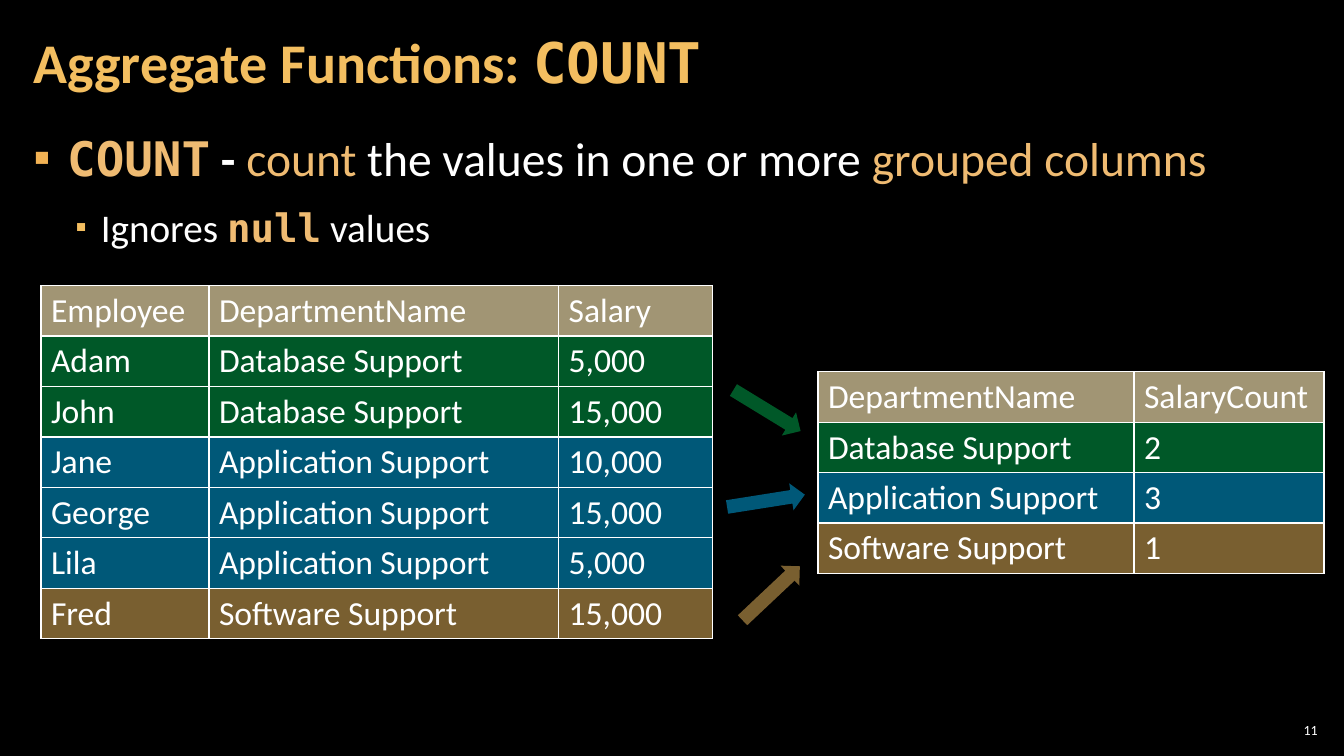
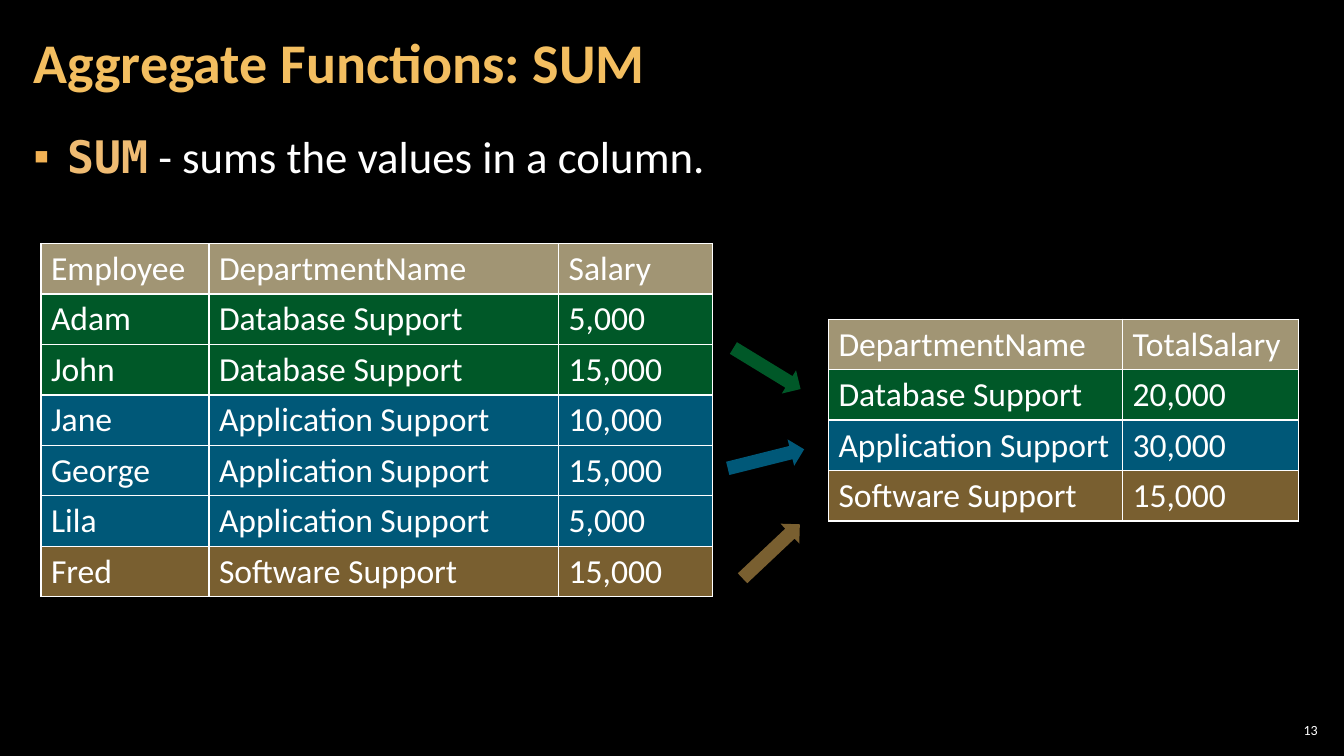
from lxml.etree import SubElement
from pptx import Presentation
from pptx.dml.color import RGBColor
from pptx.enum.shapes import MSO_SHAPE
from pptx.enum.text import MSO_ANCHOR, PP_ALIGN
from pptx.oxml.ns import qn
from pptx.util import Pt

PX = 9525
SANS, MONO = "Calibri", "DejaVu Sans Mono"
COLORS = {
    "background": "000000", "text": "FFFFFF", "title": "F3BE60",
    "accent": "EFBB72", "bullet": "F2B254", "header": "A19574",
    "Database Support": "00B050", "Application Support": "00B0F0",
    "Software Support": "F3BE60",
}
ROW = 48
EMPLOYEE_COLS = (160, 333, 147)
EMPLOYEES = [
    ("Employee", "DepartmentName", "Salary"),
    ("Adam", "Database Support", "5,000"),
    ("John", "Database Support", "15,000"),
    ("Jane", "Application Support", "10,000"),
    ("George", "Application Support", "15,000"),
    ("Lila", "Application Support", "5,000"),
    ("Fred", "Software Support", "15,000"),
]
# Bullet styles by level: indent, hanging, colour, size in percent
LEVELS = [(32, 32, "bullet", 100), (64, 24, "title", 80)]


def px(*values):
    return [v * PX for v in values]


def rgb(name):
    return RGBColor.from_string(COLORS[name])


def paint(fill, name, alpha=100):
    fill.solid()
    fill.fore_color.rgb = rgb(name)
    if alpha < 100:
        # The fill's parent is found through its own colour element
        clr = fill._xPr.find(qn("a:solidFill")).find(qn("a:srgbClr"))
        SubElement(clr, qn("a:alpha"), val=str(alpha * 1000))


def add_run(p, text, *, size=24, color="text", bold=False, font=SANS):
    r = p.add_run()
    r.text = text
    r.font.size, r.font.bold, r.font.name = Pt(size), bold, font
    r.font.color.rgb = rgb(color)


def add_box(s, box, pad=12, anchor=MSO_ANCHOR.TOP):
    tf = s.shapes.add_textbox(*px(*box)).text_frame
    tf.word_wrap = True
    tf.vertical_anchor = anchor
    tf.margin_left = tf.margin_right = pad * PX
    tf.margin_top = tf.margin_bottom = 4 * PX
    return tf


def add_title(s, box, runs):
    p = add_box(s, box, anchor=MSO_ANCHOR.MIDDLE).paragraphs[0]
    p.line_spacing = 0.9
    for text, style in runs:
        add_run(p, text, size=40, color="title", bold=True, **style)


def add_page_number(s, box, number):
    p = add_box(s, box, pad=4, anchor=MSO_ANCHOR.MIDDLE).paragraphs[0]
    p.alignment = PP_ALIGN.RIGHT
    add_run(p, str(number), size=10)


def set_bullet(p, level):
    indent, hanging, color, percent = LEVELS[level]
    p.space_before = p.space_after = Pt(6)
    pPr = p._p.get_or_add_pPr()
    pPr.set("marL", str(indent * PX))
    pPr.set("indent", str(-hanging * PX))
    SubElement(SubElement(pPr, qn("a:buClr")), qn("a:srgbClr"), val=COLORS[color])
    SubElement(pPr, qn("a:buSzPct"), val=str(percent * 1000))
    SubElement(pPr, qn("a:buFont"), typeface=SANS)
    SubElement(pPr, qn("a:buChar"), char="▪")


def add_bullets(s, box, bullets):
    tf = add_box(s, box)
    for level, (size, runs) in enumerate(bullets):
        p = tf.paragraphs[0] if level == 0 else tf.add_paragraph()
        p.level = level
        set_bullet(p, level)
        for text, style in runs:
            add_run(p, text, size=size, **style)


def set_borders(cell):
    tcPr = cell._tc.get_or_add_tcPr()
    for side in ("lnL", "lnR", "lnT", "lnB"):
        ln = SubElement(tcPr, qn(f"a:{side}"), w=str(Pt(1)))
        SubElement(SubElement(ln, qn("a:solidFill")), qn("a:srgbClr"), val=COLORS["text"])


def add_grid(s, left, top, widths, rows):
    """Table whose rows take the colour of the department they name."""
    frame = s.shapes.add_table(len(rows), len(widths),
                               *px(left, top, sum(widths), ROW * len(rows)))
    table = frame.table
    table.first_row = table.horz_banding = False
    for col, width in zip(table.columns, widths):
        col.width = width * PX
    for i, values in enumerate(rows):
        table.rows[i].height = ROW * PX
        department = next((v for v in values if v in COLORS), None)
        for j, value in enumerate(values):
            cell = table.cell(i, j)
            set_borders(cell)
            paint(cell.fill, department or "header", 50 if department else 100)
            add_run(cell.text_frame.paragraphs[0], value)


def add_arrows(s, left, top, middle_angle):
    """One arrow from each department's rows to its result."""
    arrows = [("Database Support", 1, 106, 31.4),
              ("Application Support", 0, 192, middle_angle),
              ("Software Support", 5, 280, 316.7)]
    for department, dx, dy, angle in arrows:
        sp = s.shapes.add_shape(MSO_SHAPE.RIGHT_ARROW, *px(left + dx, top + dy, 75, 26))
        sp.shadow.inherit = False
        sp.rotation = angle
        sp.line.fill.background()
        paint(sp.fill, department, 50)


def add_aggregate_slide(prs, number, title, bullets, top, result, middle_angle):
    s = prs.slides.add_slide(prs.slide_layouts[6])
    paint(s.background.fill, "background")
    add_page_number(s, (1214, 685, 45, 20), number)
    add_title(s, (20, 4, 1005, 116), title)
    add_bullets(s, (20, 119, 1239, 585), bullets)
    add_grid(s, 39, top, EMPLOYEE_COLS, EMPLOYEES)
    add_grid(s, *result)
    add_arrows(s, 692, top, middle_angle)


def result_rows(heading, *values):
    departments = ("Database Support", "Application Support", "Software Support")
    return [("DepartmentName", heading), *zip(departments, values)]


def main():
    prs = Presentation()
    prs.slide_width, prs.slide_height = px(1280, 720)
    accent = {"color": "accent"}
    code = {"color": "accent", "bold": True, "font": MONO}

    # COUNT
    add_aggregate_slide(
        prs, 11, [("Aggregate Functions: ", {}), ("COUNT", {"font": MONO})],
        [(34, [("COUNT", code), (" - ", {"bold": True}), ("count", accent),
               (" the values in one or more ", {}), ("grouped columns", accent)]),
         (28, [("Ignores ", {}), ("null", code), (" values", {})])],
        272, (779, 354, (301, 181), result_rows("SalaryCount", "2", "3", "1")), 351)

    # SUM
    add_aggregate_slide(
        prs, 13, [("Aggregate Functions: SUM", {})],
        [(32, [("SUM", code), (" - sums the values in a column.", {})])],
        232, (789, 304, (280, 168),
              result_rows("TotalSalary", "20,000", "30,000", "15,000")), 346)

    prs.save("out.pptx")


if __name__ == "__main__":
    main()
